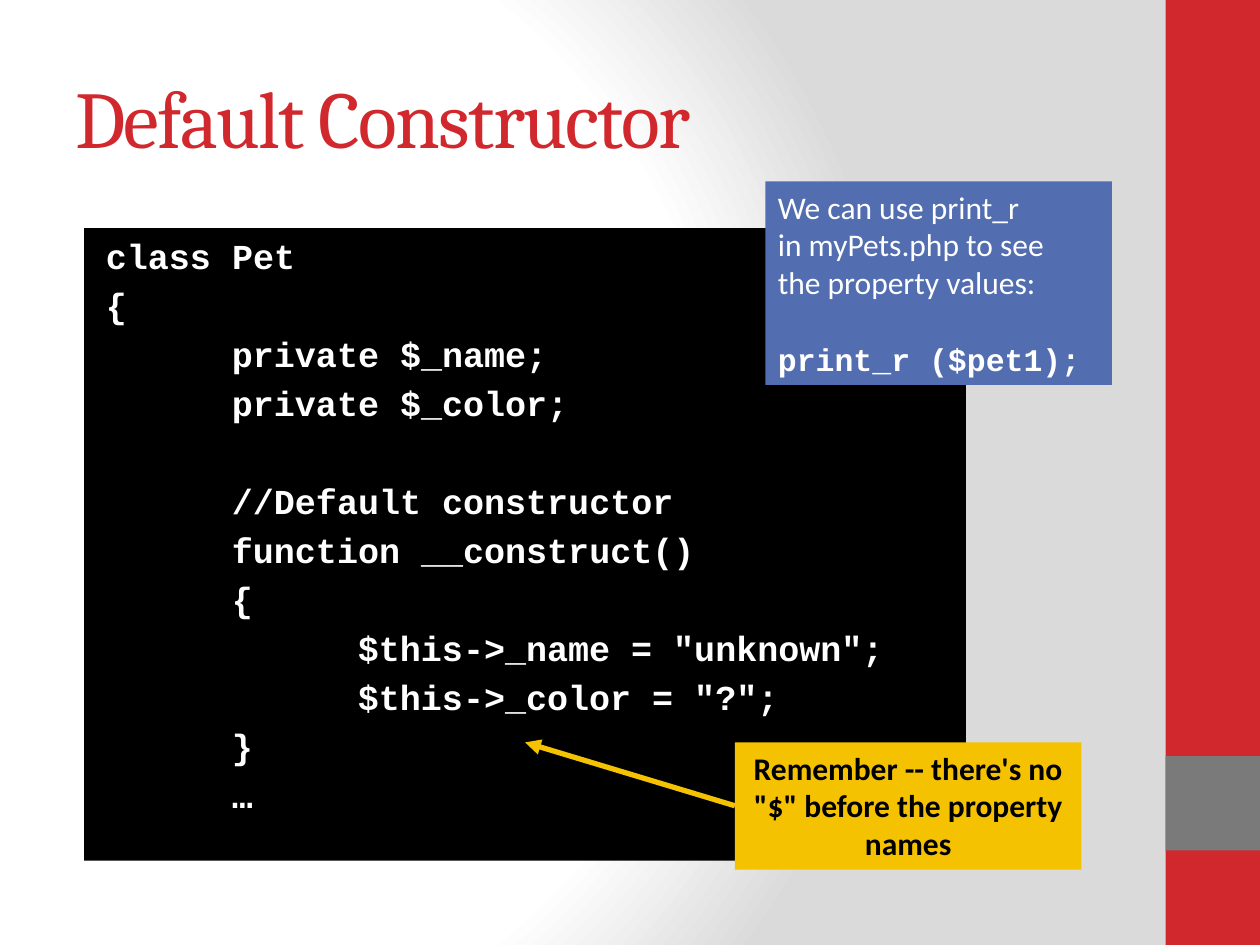
from dataclasses import dataclass
from lxml.etree import SubElement
from pptx import Presentation
from pptx.dml.color import RGBColor
from pptx.enum.shapes import MSO_CONNECTOR, MSO_SHAPE
from pptx.enum.text import MSO_ANCHOR, PP_ALIGN
from pptx.oxml import parse_xml
from pptx.oxml.ns import nsdecls, qn
from pptx.util import Inches, Pt


@dataclass(frozen=True)
class Theme:
    red: str = "D1282E"
    gray: str = "7A7A7A"
    pale: str = "DADADA"
    black: str = "000000"
    white: str = "FFFFFF"
    yellow: str = "F5C201"
    blue: str = "526DB0"
    head: str = "Cambria"
    body: str = "Calibri"
    mono: str = "Courier New"
    title_size: int = 46
    code_size: int = 20
    note_size: int = 18


T = Theme()
prs = Presentation()
prs.slide_width, prs.slide_height = Inches(10), Inches(7.5)
COL, ROW = prs.slide_width / 40, prs.slide_height / 30
s = prs.slides.add_slide(prs.slide_layouts[6])


def box(x, y, w, h, fill):
    sp = s.shapes.add_shape(MSO_SHAPE.RECTANGLE, int(x * COL), int(y * ROW), int(w * COL), int(h * ROW))
    sp.shadow.inherit = False
    sp.fill.solid()
    sp.fill.fore_color.rgb = RGBColor.from_string(fill)
    sp.line.fill.background()
    tf = sp.text_frame
    tf.word_wrap = True
    tf.vertical_anchor = MSO_ANCHOR.TOP
    return tf


def run(p, text, font, size, color, bold=False):
    r = p.add_run()
    r.text = text
    r.font.name, r.font.size, r.font.bold = font, Pt(size), bold
    r.font.color.rgb = RGBColor.from_string(color)
    return r


s.background.fill.solid()
bg = s.background.fill._xPr
bg.replace(bg.find(qn("a:solidFill")), parse_xml(
    f'<a:gradFill {nsdecls("a")} rotWithShape="1"><a:gsLst>'
    + "".join(f'<a:gs pos="{pos}000"><a:srgbClr val="{c}"/></a:gs>'
              for pos, c in ((0, T.white), (75, T.white), (100, T.pale)))
    + '</a:gsLst><a:path path="circle">'
    '<a:fillToRect l="20000" t="50000" r="100000" b="50000"/></a:path></a:gradFill>'))

box(37, 0, 3, 30, T.red)
box(37, 24, 3, 3, T.gray)

tf = box(2.67, 7.24, 28, 20.08, T.black)
code = (
    (0, "class Pet"),
    (0, "{"),
    (1, "private $_name;"),
    (1, "private $_color;"),
    (1, "//Default constructor"),
    (1, "function __construct()"),
    (1, "{"),
    (2, '$this->_name = "unknown";'),
    (2, '$this->_color = "?";'),
    (1, "}"),
    (1, "…"),
)
for i, (level, text) in enumerate(code):
    p = tf.paragraphs[0] if i == 0 else tf.add_paragraph()
    p.alignment = PP_ALIGN.LEFT
    pPr = p._p.get_or_add_pPr()
    pPr.set("marL", str(int((level * 4 + 0.3) * COL)))
    pPr.set("indent", "0")
    if i:
        p.space_before = Pt(32 if text.startswith("//") else 4)
    run(p, text, T.mono, T.code_size, T.white, True)

title = s.shapes.add_textbox(int(2 * COL), int(1.2 * ROW), int(33.32 * COL), int(5 * ROW))
tf = title.text_frame
tf.word_wrap = True
tf.vertical_anchor = MSO_ANCHOR.MIDDLE
r = run(tf.paragraphs[0], "Default Constructor", T.head, T.title_size, T.red)
r.font._element.set("spc", "-100")

arrow = s.shapes.add_connector(
    MSO_CONNECTOR.STRAIGHT, int(23.33 * COL), int(25.58 * ROW), int(16.67 * COL), int(23.57 * ROW))
arrow.line.color.rgb = RGBColor.from_string(T.yellow)
arrow.line.width = Pt(3)
SubElement(arrow.line._get_or_add_ln(), qn("a:tailEnd"), type="triangle")
SubElement(arrow._element.spPr, qn("a:effectLst"))

tf = box(23.33, 23.57, 11, 4.04, T.yellow)
p = tf.paragraphs[0]
p.alignment = PP_ALIGN.CENTER
run(p, 'Remember -- there\'s no "$" before the property names', T.body, T.note_size, T.black, True)

tf = box(24.3, 5.76, 11, 6.46, T.blue)
p = tf.paragraphs[0]
p.alignment = PP_ALIGN.LEFT
for i, text in enumerate(("We can use print_r ", "in myPets.php to see ", "the property values:")):
    if i:
        p.add_line_break()
    run(p, text, T.body, T.note_size, T.white)
p = tf.add_paragraph()
p.alignment = PP_ALIGN.LEFT
p.space_before = Pt(22)
run(p, "print_r ($pet1);", T.mono, T.note_size, T.white, True)

prs.save("out.pptx")
